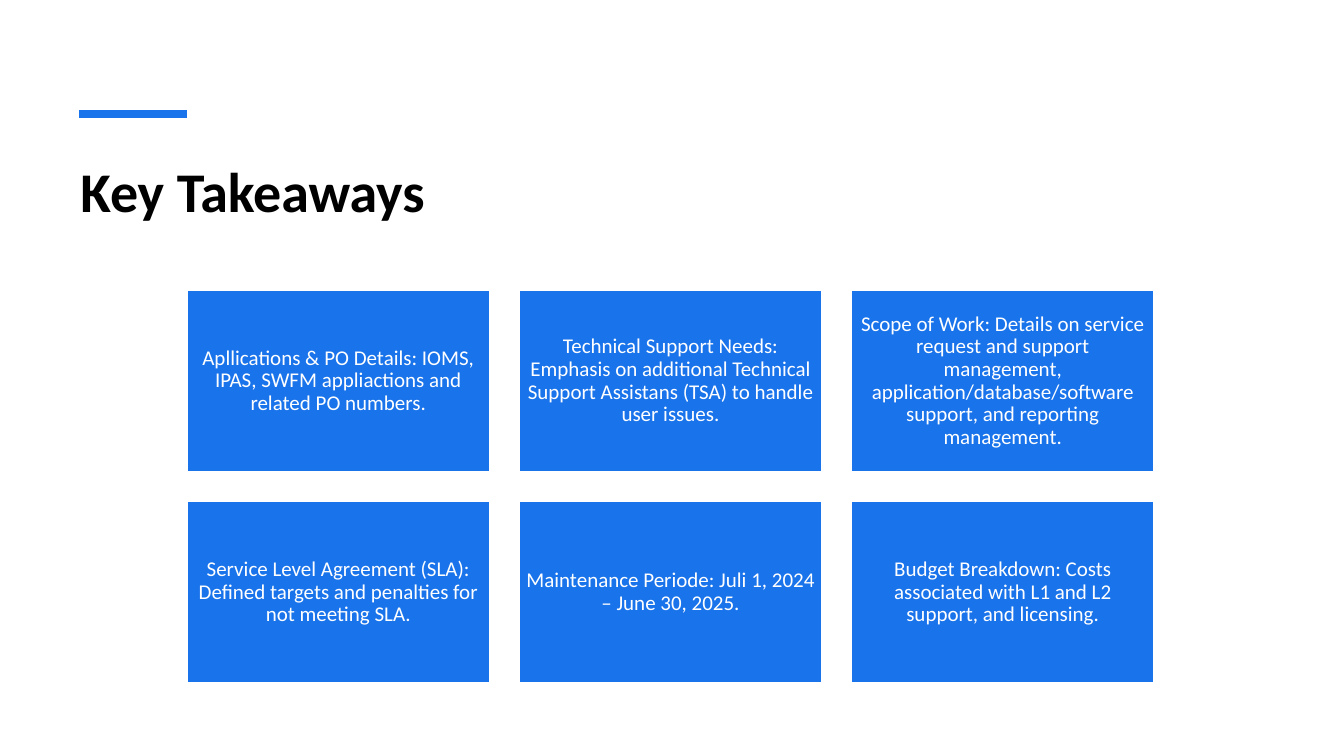
from dataclasses import dataclass

import pptx
import pptx.dml.color
import pptx.enum.shapes
import pptx.enum.text
import pptx.oxml
import pptx.oxml.ns
import pptx.util

Pt = pptx.util.Pt
ALIGN = pptx.enum.text.PP_ALIGN
ANCHOR = pptx.enum.text.MSO_ANCHOR


@dataclass(frozen=True)
class Theme:
    font: str = "Calibri"
    blue: str = "1973EB"
    white: str = "FFFFFF"
    black: str = "000000"
    title_size: float = 40
    card_size: float = 15


THEME = Theme()
TAKEAWAYS = [
    "Apllications & PO Details: IOMS, IPAS, SWFM appliactions and related PO numbers.",
    "Technical Support Needs: Emphasis on additional Technical Support Assistans (TSA) "
    "to handle user issues.",
    "Scope of Work: Details on service request and support management, "
    "application/database/software support, and reporting management.",
    "Service Level Agreement (SLA): Defined targets and penalties for not meeting SLA.",
    "Maintenance Periode: Juli 1, 2024 – June 30, 2025.",
    "Budget Breakdown: Costs associated with L1 and L2 support, and licensing.",
]
COLUMNS = 3
GRID_LEFT, GRID_TOP = 133.8, 207.4
CARD_WIDTH, CARD_HEIGHT, CARD_GAP = 215.7, 129.4, 21.6


def rgb(value):
    return pptx.dml.color.RGBColor.from_string(value)


def write_text(shape, text, *, size, color, bold=False, align=ALIGN.LEFT,
               anchor=ANCHOR.TOP, margins=(7.2, 3.6), spacing=1.0):
    """Fill a shape with one paragraph; margins are (horizontal, vertical)."""
    frame = shape.text_frame
    frame.word_wrap = True
    frame.vertical_anchor = anchor
    frame.margin_left = frame.margin_right = Pt(margins[0])
    frame.margin_top = frame.margin_bottom = Pt(margins[1])
    para = frame.paragraphs[0]
    para.alignment = align
    para.line_spacing = spacing
    span = para.add_run()
    span.text = text
    span.font.name = THEME.font
    span.font.size = Pt(size)
    span.font.bold = bold
    span.font.color.rgb = rgb(color)


def add_accent_line(page, left, right, y):
    line = page.shapes.add_connector(
        pptx.enum.shapes.MSO_CONNECTOR.STRAIGHT, Pt(left), Pt(y), Pt(right), Pt(y))
    line.line.color.rgb = rgb(THEME.blue)
    line.line.width = Pt(6)
    properties = line._element.spPr
    properties.append(pptx.oxml.parse_xml(
        f"<a:effectLst {pptx.oxml.ns.nsdecls('a')}/>"))


def add_title(page, text):
    box = page.shapes.add_textbox(Pt(50.4), Pt(108), Pt(857.5), Pt(86.4))
    write_text(box, text, size=THEME.title_size, color=THEME.black, bold=True)


def add_card(page, text, left, top):
    card = page.shapes.add_shape(
        pptx.enum.shapes.MSO_SHAPE.RECTANGLE,
        Pt(left), Pt(top), Pt(CARD_WIDTH), Pt(CARD_HEIGHT))
    card.shadow.inherit = False
    card.fill.solid()
    card.fill.fore_color.rgb = rgb(THEME.blue)
    card.line.color.rgb = rgb(THEME.white)
    card.line.width = Pt(1)
    write_text(card, text, size=THEME.card_size, color=THEME.white, align=ALIGN.CENTER,
               anchor=ANCHOR.MIDDLE, margins=(4.5, 4.5), spacing=0.9)


def main():
    deck = pptx.Presentation()
    deck.slide_width, deck.slide_height = Pt(960), Pt(540)
    page = deck.slides.add_slide(deck.slide_layouts[6])
    add_accent_line(page, 56.4, 133.4, 81.4)
    add_title(page, "Key Takeaways")
    for index, text in enumerate(TAKEAWAYS):
        row, column = divmod(index, COLUMNS)
        add_card(page, text,
                 GRID_LEFT + column * (CARD_WIDTH + CARD_GAP),
                 GRID_TOP + row * (CARD_HEIGHT + CARD_GAP))
    deck.save("out.pptx")


if __name__ == "__main__":
    main()
